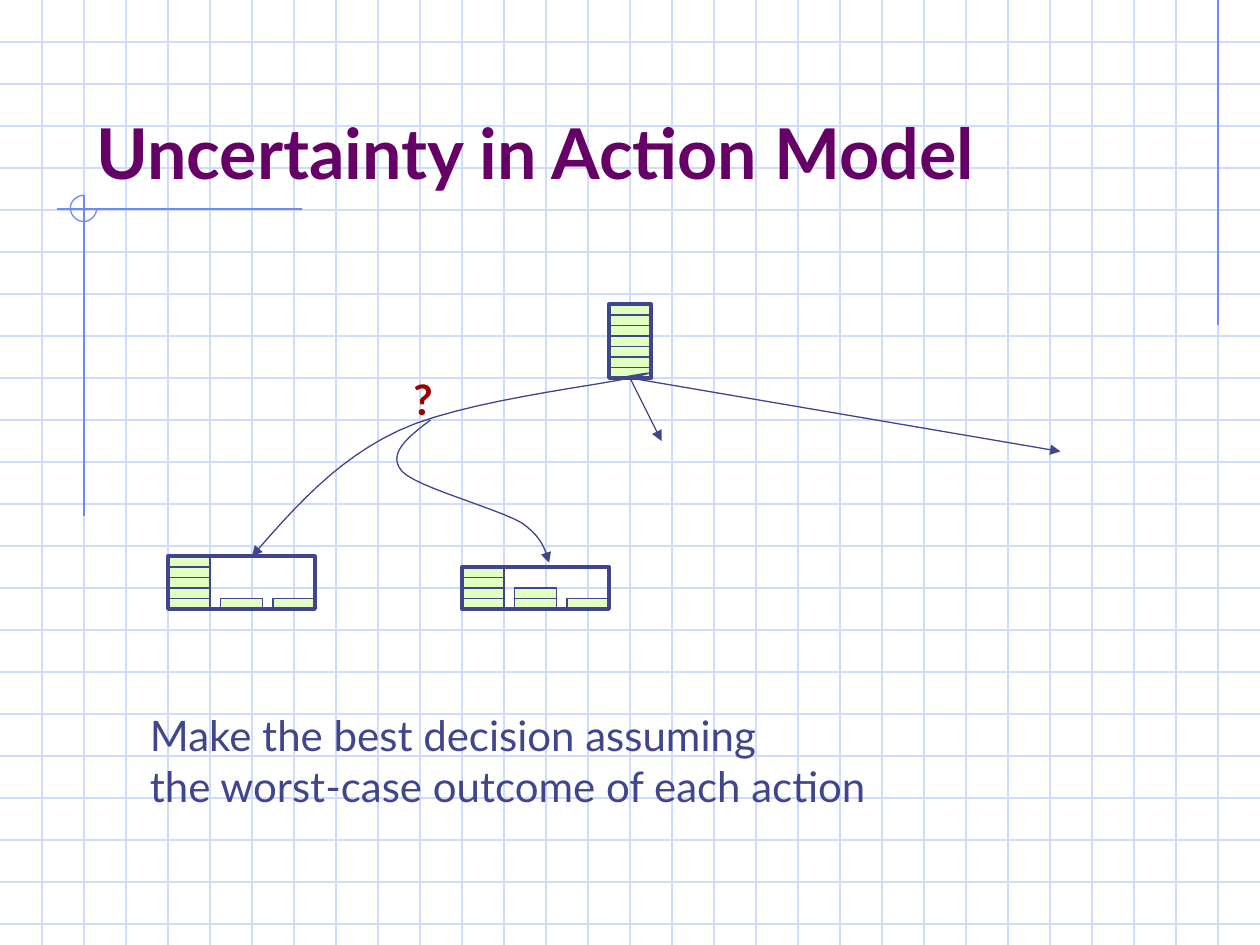
from dataclasses import dataclass
from itertools import chain

from lxml.etree import SubElement
from pptx import Presentation
from pptx.dml.color import RGBColor
from pptx.enum.shapes import MSO_CONNECTOR, MSO_SHAPE
from pptx.enum.text import MSO_ANCHOR, MSO_AUTO_SIZE, PP_ALIGN
from pptx.oxml.ns import qn
from pptx.shapes.base import BaseShape
from pptx.slide import Slide
from pptx.util import Pt

EMU_PER_PX = 7620
SLIDE_WIDTH, SLIDE_HEIGHT = 1200, 900
GRID_STEP = 40
BLOCK_WIDTH, BLOCK_HEIGHT, STACK_STEP = 40, 10, 50
CURVE_STEPS = 12
THIN, THICK = 0.75, 2.25
INK, BLOCK_FILL, GRID_COLOUR, ORNAMENT = "40458C", "E0FFC1", "CFDBFD", "6F89F7"
Point = tuple[int, int]


@dataclass(frozen=True)
class Line:
    """A straight line, with an arrowhead at its end if asked for."""
    start: Point
    end: Point
    colour: str
    arrow: bool = False


@dataclass(frozen=True)
class Curve:
    """A chain of cubic curves, three points to each after the start."""
    points: tuple[Point, ...]
    colour: str
    arrow: bool = False


@dataclass(frozen=True)
class World:
    """A framed row of block stacks standing on one base line."""
    left: int
    base: int
    stacks: tuple[int, ...]


@dataclass(frozen=True)
class Label:
    """Lines of text and their look."""
    lines: tuple[str, ...]
    box: tuple[int, int, int, int]
    size: int
    colour: str
    bold: bool = False
    anchor: MSO_ANCHOR = MSO_ANCHOR.TOP
    wrap: bool = False
    fit: MSO_AUTO_SIZE = MSO_AUTO_SIZE.SHAPE_TO_FIT_TEXT


ORNAMENT_LINES = (
    Line((1160, 0), (1160, 310), ORNAMENT),
    Line((288, 199), (54, 199), ORNAMENT),
    Line((80, 186), (80, 491), ORNAMENT),
)
ORNAMENT_ARC = Curve(
    ((80, 186), (73, 186), (67, 192), (67, 198), (67, 205), (73, 211),
     (80, 211), (86, 211), (92, 205), (92, 199)), ORNAMENT)
WORLDS = (World(160, 580, (5, 1, 1)), World(580, 360, (7,)), World(440, 580, (4, 2, 1)))
ACTION_LINES = (
    Line((600, 360), (630, 420), INK, True),
    Line((600, 360), (1010, 430), INK, True),
)
ACTION_CURVES = (
    Curve(((590, 360), (612, 356), (635, 352), (600, 360), (565, 368), (440, 382),
           (380, 410), (320, 438), (280, 484), (240, 530)), INK, True),
    Curve(((410, 400), (389, 416), (368, 432), (383, 449), (397, 464), (473, 484),
           (497, 498), (520, 514), (520, 529), (523, 536)), INK, True),
)
TITLE = Label(("Uncertainty in Action Model",), (80, 40, 1020, 150), 40, "660066", True,
              MSO_ANCHOR.BOTTOM, True, MSO_AUTO_SIZE.NONE)
LABELS = (
    Label(("?",), (382, 350, 43, 60), 24, "990000", True),
    Label(("Make the best decision assuming", "the worst-case outcome of each action"),
          (131, 670, 749, 108), 24, INK),
)


def px(*lengths: float) -> list[int]:
    """Turn px lengths into EMU."""
    return [round(length * EMU_PER_PX) for length in lengths]


def rgb(colour: str) -> RGBColor:
    """Turn a hex string into a colour."""
    return RGBColor.from_string(colour)


def set_values(target: object, values: dict) -> None:
    """Set each attribute named in a dict."""
    for name, value in values.items():
        setattr(target, name, value)


def style_line(shape: BaseShape, colour: str, width: float, arrow: bool = False) -> None:
    """Set the outline and its optional arrowhead."""
    shape.line.color.rgb = rgb(colour)
    shape.line.width = Pt(width)
    if arrow:
        outline = shape._element.spPr.find(qn("a:ln"))
        SubElement(outline, qn("a:tailEnd"), type="triangle")


def draw_line(slide: Slide, line: Line) -> None:
    """Draw a straight connector without shadow."""
    connector = slide.shapes.add_connector(MSO_CONNECTOR.STRAIGHT, *px(*line.start, *line.end))
    style_line(connector, line.colour, THIN, line.arrow)
    SubElement(connector._element.spPr, qn("a:effectLst"))


def curve_points(points: tuple[Point, ...]) -> list[list[int]]:
    """Sample the chain of cubic curves in EMU."""
    sampled = [px(*points[0])]
    for first in range(0, len(points) - 1, 3):
        corners = points[first:first + 4]
        for step in range(1, CURVE_STEPS + 1):
            t = step / CURVE_STEPS
            weights = ((1 - t) ** 3, 3 * t * (1 - t) ** 2, 3 * t * t * (1 - t), t ** 3)
            sampled.append(px(*(sum(weight * corner[axis] for weight, corner in zip(weights, corners))
                                for axis in (0, 1))))
    return sampled


def draw_curve(slide: Slide, curve: Curve) -> None:
    """Draw an open curve."""
    start, *rest = curve_points(curve.points)
    builder = slide.shapes.build_freeform(*start)
    builder.add_line_segments(rest, close=False)
    shape = builder.convert_to_shape()
    shape.shadow.inherit = False
    shape.fill.background()
    style_line(shape, curve.colour, THIN, curve.arrow)


def draw_rectangle(slide: Slide, box: tuple[int, int, int, int], width: float,
                   fill: str | None = None) -> None:
    """Draw a block or an unfilled frame."""
    shape = slide.shapes.add_shape(MSO_SHAPE.RECTANGLE, *px(*box))
    shape.shadow.inherit = False
    if fill:
        shape.fill.solid()
        shape.fill.fore_color.rgb = rgb(fill)
    else:
        shape.fill.background()
    style_line(shape, INK, width)


def draw_world(slide: Slide, world: World) -> None:
    """Draw the stacks of a world and the frame around them."""
    for column, count in enumerate(world.stacks):
        left = world.left + column * STACK_STEP
        for level in range(1, count + 1):
            box = (left, world.base - level * BLOCK_HEIGHT, BLOCK_WIDTH, BLOCK_HEIGHT)
            draw_rectangle(slide, box, THIN, BLOCK_FILL)
    width = (len(world.stacks) - 1) * STACK_STEP + BLOCK_WIDTH
    height = max(world.stacks) * BLOCK_HEIGHT
    draw_rectangle(slide, (world.left, world.base - height, width, height), THICK)


def write_label(shape: BaseShape, label: Label) -> None:
    """Place a text shape and fill it with formatted lines."""
    set_values(shape, dict(zip(("left", "top", "width", "height"), px(*label.box))))
    frame = shape.text_frame
    frame.text = "\n".join(label.lines)
    set_values(frame, {"word_wrap": label.wrap, "auto_size": label.fit,
                       "vertical_anchor": label.anchor})
    for paragraph in frame.paragraphs:
        paragraph.alignment = PP_ALIGN.LEFT
        for run in paragraph.runs:
            set_values(run.font, {"name": "Lato", "size": Pt(label.size), "bold": label.bold})
            run.font.color.rgb = rgb(label.colour)


def main() -> None:
    """Build and save the slide."""
    presentation = Presentation()
    presentation.slide_width, presentation.slide_height = px(SLIDE_WIDTH, SLIDE_HEIGHT)
    slide = presentation.slides.add_slide(presentation.slide_layouts[5])
    rows = [Line((0, y), (SLIDE_WIDTH, y), GRID_COLOUR)
            for y in range(GRID_STEP, SLIDE_HEIGHT, GRID_STEP)]
    columns = [Line((x, 0), (x, SLIDE_HEIGHT), GRID_COLOUR)
               for x in range(GRID_STEP, SLIDE_WIDTH, GRID_STEP)]
    for line in chain(rows, columns, ORNAMENT_LINES):
        draw_line(slide, line)
    draw_curve(slide, ORNAMENT_ARC)
    title = slide.shapes.title
    write_label(title, TITLE)
    title._element.getparent().append(title._element)
    for world in WORLDS:
        draw_world(slide, world)
    for line in ACTION_LINES:
        draw_line(slide, line)
    for curve in ACTION_CURVES:
        draw_curve(slide, curve)
    for label in LABELS:
        write_label(slide.shapes.add_textbox(*px(*label.box)), label)
    presentation.save("out.pptx")


if __name__ == "__main__":
    main()
